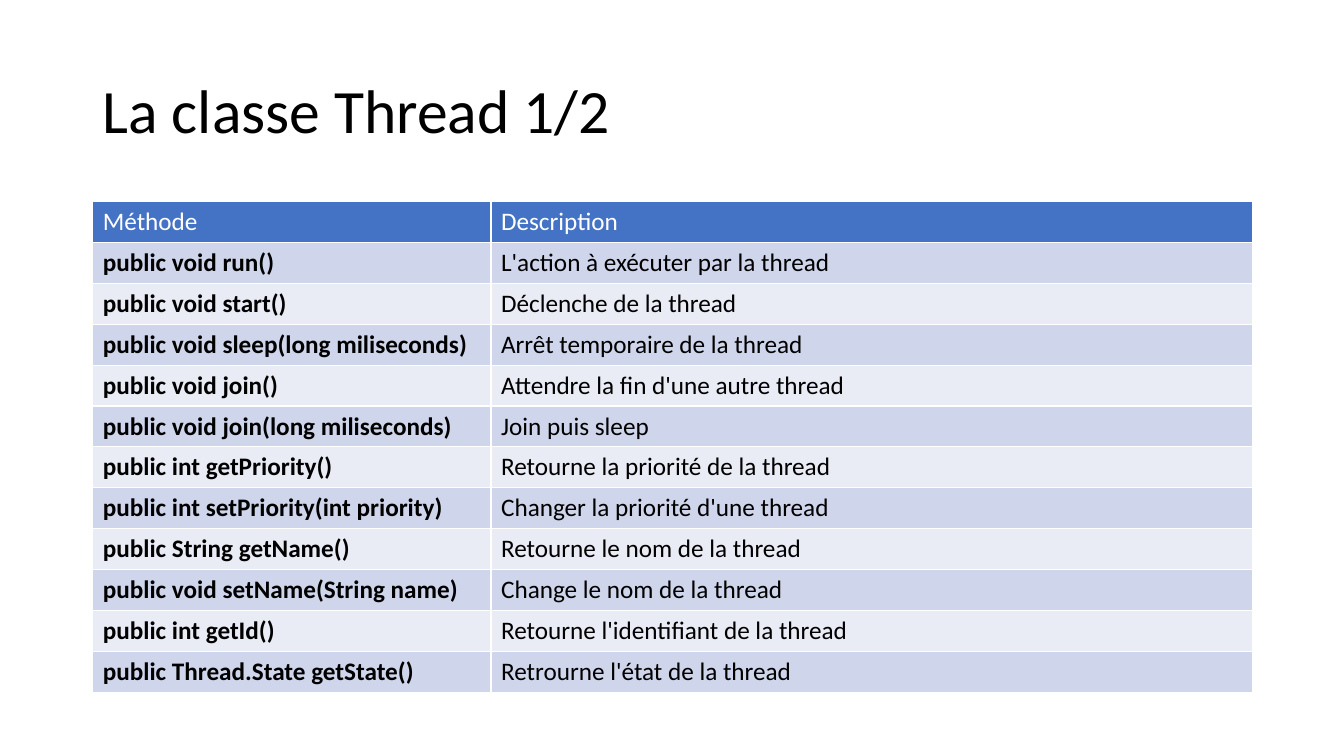
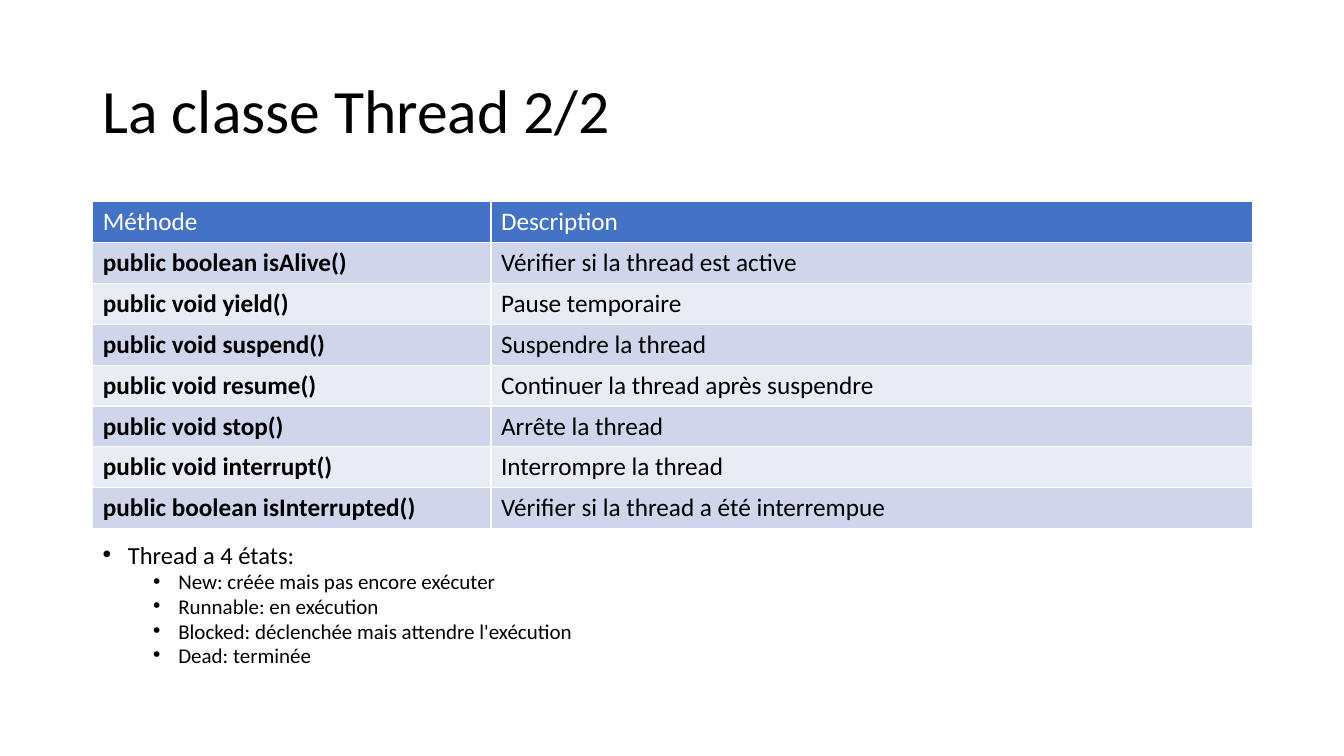
import pptx
import pptx.util
import pptx.dml.color
import pptx.enum.text
import lxml.etree

Inches = pptx.util.Inches
Pt = pptx.util.Pt
RGBColor = pptx.dml.color.RGBColor

WHITE = RGBColor(0xFF, 0xFF, 0xFF)
BLACK = RGBColor(0, 0, 0)
BLUE = RGBColor(0x44, 0x72, 0xC4)
BANDS = [RGBColor(0xE9, 0xEB, 0xF5), RGBColor(0xCF, 0xD5, 0xEA)]
FONT = "Calibri"
LEFT, WIDTH = Inches(0.92), Inches(11.5)
COLS = [Inches(3.95), Inches(7.55)]
ROW = Inches(4.87 / 12)
HEAD = ("Méthode", "Description")

PAGES = [
    ("La classe Thread 1/2", [
        ("public void run()", "L'action à exécuter par la thread"),
        ("public void start()", "Déclenche de la thread"),
        ("public void sleep(long miliseconds)", "Arrêt temporaire de la thread"),
        ("public void join()", "Attendre la fin d'une autre thread"),
        ("public void join(long miliseconds)", "Join puis sleep"),
        ("public int getPriority()", "Retourne la priorité de la thread"),
        ("public int setPriority(int priority)", "Changer la priorité d'une thread"),
        ("public String getName()", "Retourne le nom de la thread"),
        ("public void setName(String name)", "Change le nom de la thread"),
        ("public int getId()", "Retourne l'identifiant de la thread"),
        ("public Thread.State getState()", "Retrourne l'état de la thread"),
    ], []),
    ("La classe Thread 2/2", [
        ("public boolean isAlive()", "Vérifier si la thread est active"),
        ("public void yield()", "Pause temporaire"),
        ("public void suspend()", "Suspendre la thread"),
        ("public void resume()", "Continuer la thread après suspendre"),
        ("public void stop()", "Arrête la thread"),
        ("public void interrupt()", "Interrompre la thread"),
        ("public boolean isInterrupted()", "Vérifier si la thread a été interrempue"),
    ], [
        ("Thread a 4 états:", 0),
        ("New: créée mais pas encore exécuter", 1),
        ("Runnable: en exécution", 1),
        ("Blocked: déclenchée mais attendre l'exécution", 1),
        ("Dead: terminée", 1),
    ]),
]


def write(para, text, size=18, color=BLACK, bold=False, space=None, before=None, level=None):
    run = para.add_run()
    run.text = text
    run.font.name = FONT
    run.font.size = Pt(size)
    run.font.bold = bold
    run.font.color.rgb = color
    if space is not None:
        para.line_spacing = space
    if before is not None:
        para.space_before = Pt(before)
    if level is not None:
        para.level = level
        props = para._p.get_or_add_pPr()
        props.set("marL", str(Inches(0.25 + 0.5 * level)))
        props.set("indent", str(Inches(-0.25)))
        for tag, key, value in [("buFont", "typeface", "Arial"), ("buChar", "char", "•")]:
            mark = lxml.etree.SubElement(props, pptx.oxml.ns.qn("a:" + tag))
            mark.set(key, value)


deck = pptx.Presentation()
deck.slide_width, deck.slide_height = Inches(13.33), Inches(7.5)

for title, rows, states in PAGES:
    slide = deck.slides.add_slide(deck.slide_layouts[6])
    frame = slide.shapes.add_textbox(LEFT, Inches(0.4), WIDTH, Inches(1.45)).text_frame
    frame.word_wrap = True
    frame.vertical_anchor = pptx.enum.text.MSO_ANCHOR.MIDDLE
    write(frame.paragraphs[0], title, size=44, space=0.9)

    lines = [HEAD] + rows
    table = slide.shapes.add_table(
        len(lines), len(COLS), LEFT, Inches(2), WIDTH, ROW * len(lines)).table
    for col, width in zip(table.columns, COLS):
        col.width = width
    for r, line in enumerate(lines):
        for c, text in enumerate(line):
            cell = table.cell(r, c)
            cell.fill.solid()
            cell.fill.fore_color.rgb = BANDS[r % 2] if r else BLUE
            write(cell.text_frame.paragraphs[0], text,
                  color=BLACK if r else WHITE, bold=r > 0 and c == 0)

    if states:
        frame = slide.shapes.add_textbox(LEFT, Inches(5.39), WIDTH, Inches(1.37)).text_frame
        frame.word_wrap = True
        for n, (text, level) in enumerate(states):
            para = frame.add_paragraph() if n else frame.paragraphs[0]
            write(para, text, size=15 if level else 17.5, space=0.7,
                  before=5 if level else 10, level=level)

deck.save("out.pptx")
